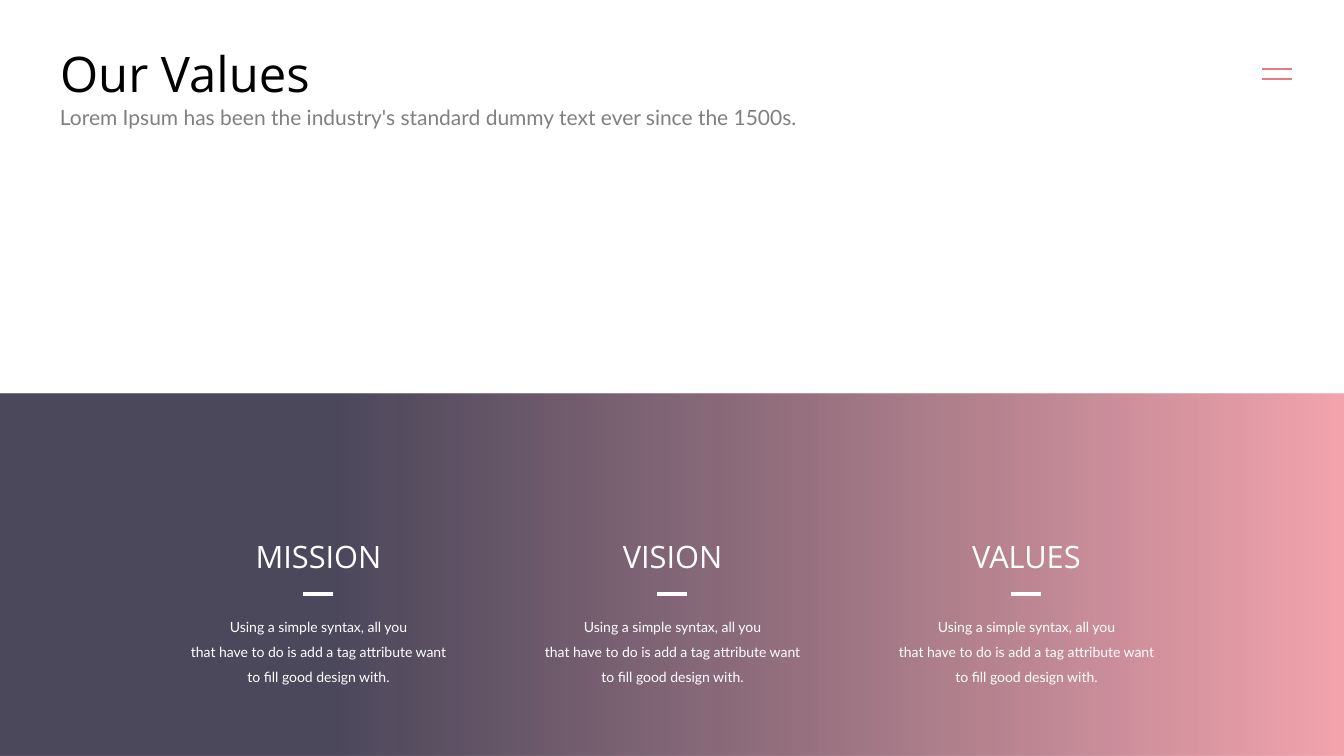
from dataclasses import dataclass

from lxml import etree
from pptx import Presentation
from pptx import util as u
from pptx.dml.color import RGBColor
from pptx.enum import shapes, text
from pptx.oxml.ns import qn

PX = 914400 / 100.8
LEFT, CENTER = text.PP_ALIGN.LEFT, text.PP_ALIGN.CENTER
COLUMNS = ["MISSION", "VISION", "VALUES"]
BODY = [
    "Using a simple syntax, all you",
    "that have to do is add a tag attribute want to fill good design with.",
]


@dataclass(frozen=True)
class Theme:
    """Colours, fonts and type sizes of the slide."""
    heading: str = "Open Sans"
    body: str = "Lato"
    black: str = "000000"
    white: str = "FFFFFF"
    grey: str = "808080"
    accent: str = "ED7885"
    band: tuple = ((25, "2E2940", 85), (100, "F29BA5", 90))
    title_size: int = 35
    subtitle_size: int = 15
    column_size: int = 22
    body_size: int = 10


THEME = Theme()


def px(*values):
    """Turn px lengths into EMU."""
    return [u.Emu(round(v * PX)) for v in values]


def set_attrs(obj, values):
    """Set every attribute in a dict of format values."""
    for name, value in values.items():
        setattr(obj, name, value)


def write(sp, lines, font, size, color, align=LEFT, spacing=None,
          anchor=text.MSO_ANCHOR.MIDDLE):
    """Fill a text shape with formatted paragraphs."""
    tf = sp.text_frame
    set_attrs(tf, {"word_wrap": True, "vertical_anchor": anchor,
                   "auto_size": text.MSO_AUTO_SIZE.NONE})
    for i, line in enumerate(lines):
        p = tf.add_paragraph() if i else tf.paragraphs[0]
        set_attrs(p, {"alignment": align, "line_spacing": spacing})
        r = p.add_run()
        r.text = line
        set_attrs(r.font, {"name": font, "size": u.Pt(size)})
        r.font.color.rgb = RGBColor.from_string(color)


def add_title(s, title, box):
    """Place and format the title placeholder."""
    sp = s.shapes.title
    set_attrs(sp, dict(zip(("left", "top", "width", "height"), px(*box))))
    write(sp, [title], THEME.heading, THEME.title_size, THEME.black)


def add_text(s, box, *args, **kwargs):
    """Add a text box."""
    write(s.shapes.add_textbox(*px(*box)), *args, **kwargs)


def add_rule(parent, x, y, width, color, weight):
    """Add a horizontal line without a shadow."""
    line = parent.shapes.add_connector(
        shapes.MSO_CONNECTOR.STRAIGHT, *px(x, y, x + width, y))
    line.line.color.rgb = RGBColor.from_string(color)
    line.line.width = u.Pt(weight)
    etree.SubElement(line._element.spPr, qn("a:effectLst"))


def add_band(s, box):
    """Add the translucent gradient band."""
    sp = s.shapes.add_shape(shapes.MSO_SHAPE.RECTANGLE, *px(*box))
    sp.shadow.inherit = False
    sp.line.fill.background()
    sp.fill.gradient()
    sp.fill.gradient_angle = 0
    for stop, (position, color, opacity) in zip(sp.fill.gradient_stops, THEME.band):
        stop.position = position / 100
        stop.color.rgb = RGBColor.from_string(color)
        for clr in sp._element.spPr.iter(qn("a:srgbClr")):
            if clr.get("val") == color:
                etree.SubElement(clr, qn("a:alpha"), val=str(opacity * 1000))


def add_column(s, center, heading):
    """Add a heading, a short dash and a description around a centre."""
    left, width, dash = center - 140, 281, 30
    add_text(s, (left, 533, width, 47), [heading], THEME.heading,
             THEME.column_size, THEME.white, CENTER)
    add_text(s, (left, 606, width, 84), BODY, THEME.body,
             THEME.body_size, THEME.white, CENTER, u.Pt(18))
    add_rule(s, center - dash // 2, 594, dash, THEME.white, 3)


def add_menu_icon(s):
    """Add the grouped pair of menu lines."""
    group = s.shapes.add_group_shape()
    for y in (69, 79):
        add_rule(group, 1262, y, 30, THEME.accent, 1.5)


def main():
    """Build and save the slide."""
    prs = Presentation()
    prs.slide_width, prs.slide_height = px(1344, 756)
    s = prs.slides.add_slide(prs.slide_layouts[5])
    add_band(s, (0, 394, 1344, 362))
    add_title(s, "Our Values", (50, 39, 1243, 67))
    for i, heading in enumerate(COLUMNS):
        add_column(s, 318 + 354 * i, heading)
    add_menu_icon(s)
    add_text(s, (50, 100, 1243, 35),
             ["Lorem Ipsum has been the industry's standard dummy text ever since the 1500s."],
             THEME.body, THEME.subtitle_size, THEME.grey, anchor=text.MSO_ANCHOR.TOP)
    prs.save("out.pptx")


if __name__ == "__main__":
    main()
